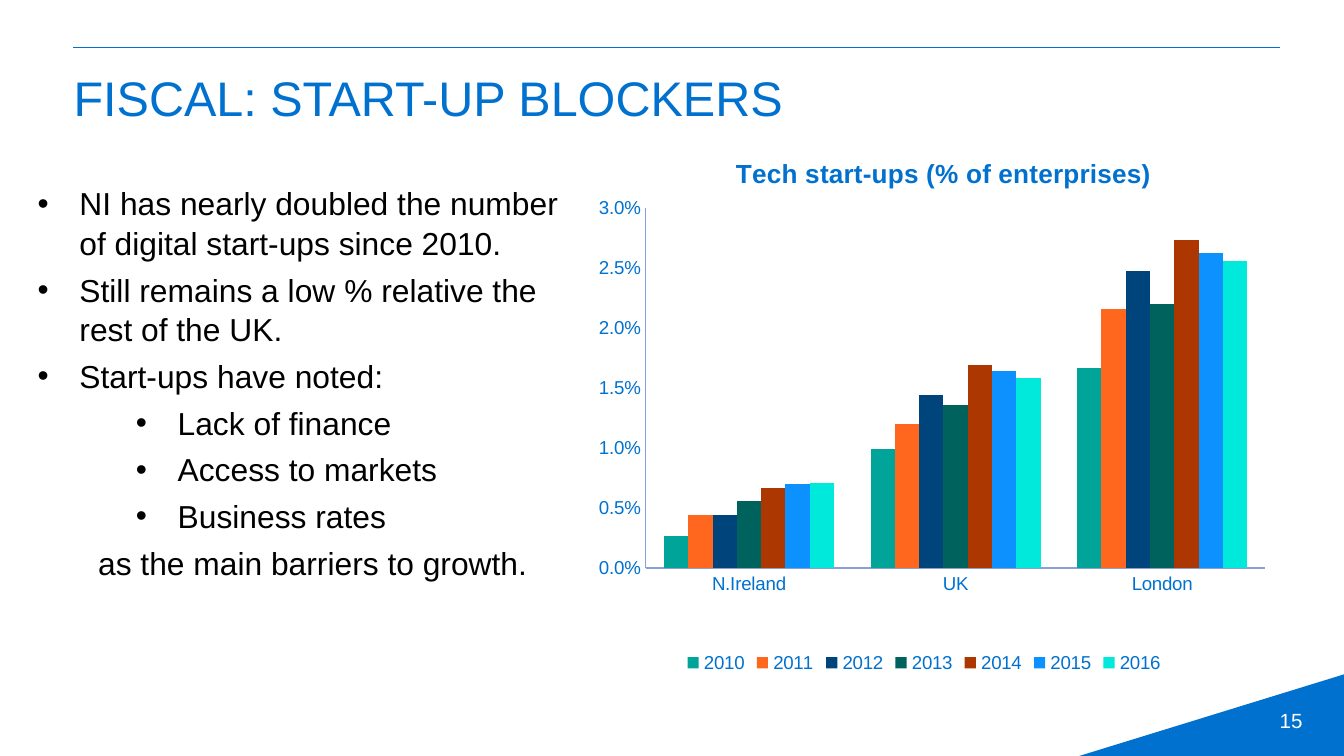
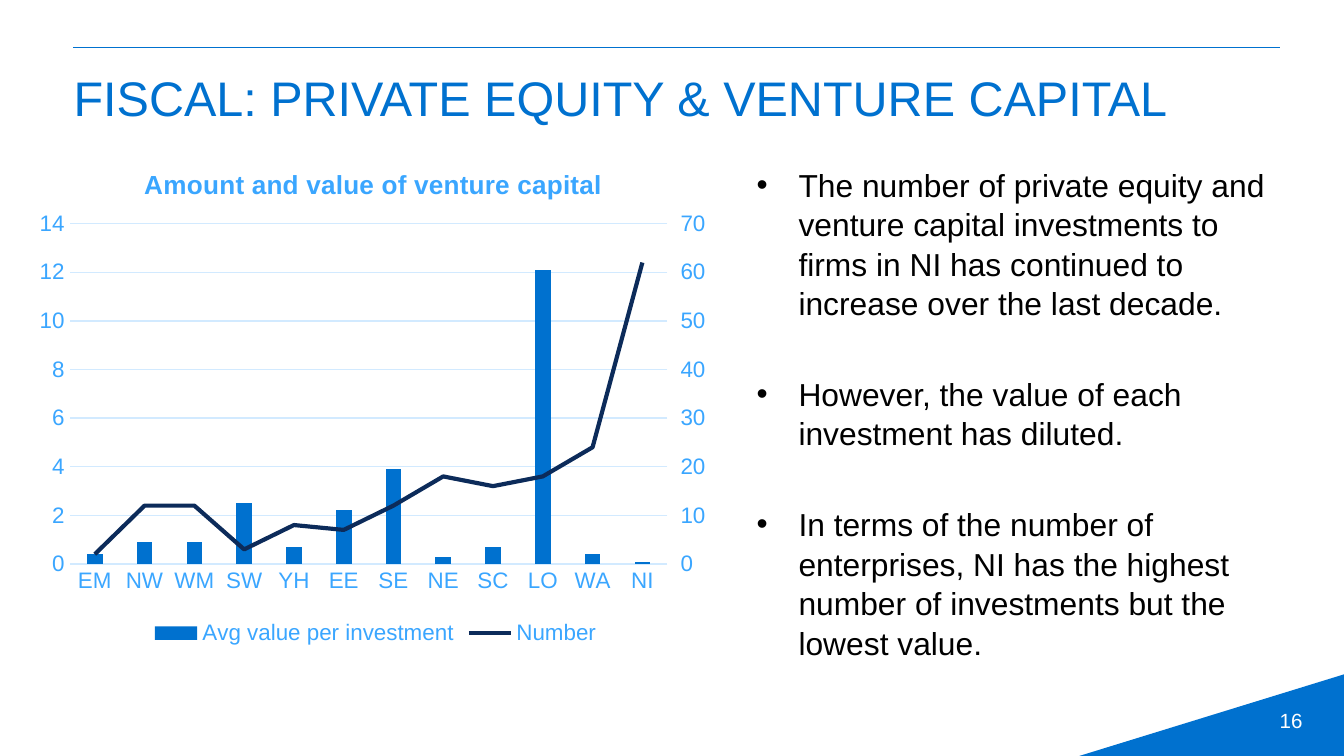
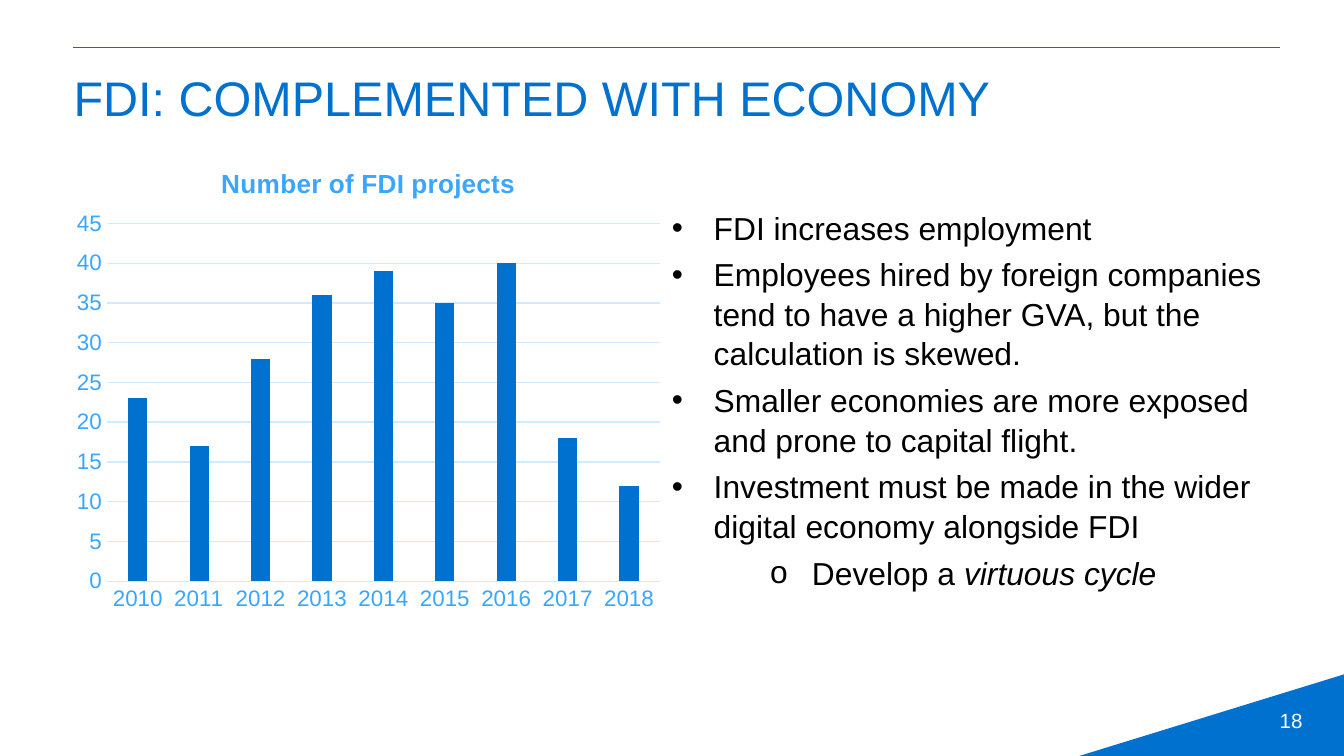
"""Build three slides on start-ups, venture capital and foreign direct investment."""

from copy import deepcopy

from lxml.etree import SubElement
from pptx import Presentation
from pptx.chart.data import CategoryChartData
from pptx.dml.color import RGBColor
from pptx.enum.chart import XL_CHART_TYPE as ChartType
from pptx.enum.chart import XL_LEGEND_POSITION as LegendPosition
from pptx.enum.chart import XL_TICK_MARK as TickMark
from pptx.enum.shapes import MSO_CONNECTOR as Connector
from pptx.enum.shapes import MSO_SHAPE as Shape
from pptx.enum.text import MSO_ANCHOR as Anchor
from pptx.enum.text import PP_ALIGN as Align
from pptx.oxml import parse_xml
from pptx.oxml.ns import nsdecls, qn
from pptx.util import Pt

BLUE = RGBColor(0x00, 0x71, 0xCF)
SKY = RGBColor(0x3A, 0xA6, 0xFF)
PALE = RGBColor(0xD2, 0xEA, 0xFF)
PERIWINKLE = RGBColor(0x87, 0xA0, 0xD9)
NAVY = RGBColor(0x0C, 0x2B, 0x5A)
TEAL = RGBColor(0x00, 0xA4, 0x99)
ORANGE = RGBColor(0xFF, 0x67, 0x1F)
DEEP_BLUE = RGBColor(0x00, 0x44, 0x7C)
PINE = RGBColor(0x00, 0x62, 0x5C)
RUST = RGBColor(0xAC, 0x37, 0x00)
AZURE = RGBColor(0x0D, 0x91, 0xFF)
AQUA = RGBColor(0x00, 0xE9, 0xDA)
WHITE = RGBColor(0xFF, 0xFF, 0xFF)
BLACK = RGBColor(0x00, 0x00, 0x00)
FONT = "Arial"

HANGING = 22.4
BULLET, SUB_BULLET, SUB_CIRCLE, PLAIN = "bullet", "sub bullet", "sub circle", "plain"
PARAGRAPH_STYLES = {
    BULLET: (HANGING, "•"),
    SUB_BULLET: (75, "•"),
    SUB_CIRCLE: (75, "o"),
    PLAIN: (32.4, None),
}
PARAGRAPH_GAP = 3.8
WIDE_GAP = 27.3

PALE_CHART = {
    "color": SKY, "size": 12, "axis_line": PALE, "grid": True,
    "format": "General", "gap": 219, "overlap": -27,
}

SLIDES = [
    {
        "number": "15",
        "title": "FISCAL: START-UP BLOCKERS",
        "text_box": (20.2, 97.9, 280, 247.7),
        "anchor": Anchor.TOP,
        "gap": PARAGRAPH_GAP,
        "text": [
            (BULLET, "NI has nearly doubled the number of digital start-ups since 2010."),
            (BULLET, "Still remains a low % relative the rest of the UK."),
            (BULLET, "Start-ups have noted:"),
            (SUB_BULLET, "Lack of finance"),
            (SUB_BULLET, "Access to markets"),
            (SUB_BULLET, "Business rates"),
            (PLAIN, "as the main barriers to growth."),
        ],
        "chart": {
            "box": (315.4, 69.1, 381.6, 301.7),
            "title": "Tech start-ups (% of enterprises)",
            "title_at": (0.2, 0.04),
            "plot_at": (0.08, 0.14, 0.87, 0.64),
            "legend": LegendPosition.TOP,
            "legend_at": (0.13, 0.92),
            "color": BLUE, "size": 10, "axis_line": PERIWINKLE, "grid": False,
            "format": "0.0%", "gap": 150, "overlap": 0,
            "scale": (0.03, 0.005),
            "categories": ["N.Ireland", "UK", "London"],
            "series": [
                ("2010", TEAL, [0.0027, 0.0099, 0.0167]),
                ("2011", ORANGE, [0.0044, 0.012, 0.0216]),
                ("2012", DEEP_BLUE, [0.0044, 0.0144, 0.0247]),
                ("2013", PINE, [0.0056, 0.0136, 0.022]),
                ("2014", RUST, [0.0067, 0.0169, 0.0273]),
                ("2015", AZURE, [0.007, 0.0164, 0.0262]),
                ("2016", AQUA, [0.0071, 0.0158, 0.0256]),
            ],
        },
    },
    {
        "number": "16",
        "title": "FISCAL: PRIVATE EQUITY & VENTURE CAPITAL",
        "text_box": (405.4, 87.8, 280, 272.2),
        "anchor": Anchor.TOP,
        "gap": WIDE_GAP,
        "text": [
            (BULLET, "The number of private equity and venture capital investments to firms "
                     "in NI has continued to increase over the last decade."),
            (BULLET, "However, the value of each investment has diluted."),
            (BULLET, "In terms of the number of enterprises, NI has the highest number of "
                     "investments but the lowest value."),
        ],
        "chart": PALE_CHART | {
            "box": (15.1, 76.3, 372.2, 272.2),
            "title": "Amount and value of venture capital",
            "title_at": (0.16, 0.04),
            "plot_at": (0.06, 0.16, 0.86, 0.67),
            "legend": LegendPosition.BOTTOM,
            "scale": (14, 2),
            "right_scale": (70, 10),
            "categories": ["EM", "NW", "WM", "SW", "YH", "EE",
                           "SE", "NE", "SC", "LO", "WA", "NI"],
            "series": [
                ("Avg value per investment", BLUE,
                 [0.4, 0.9, 0.9, 2.5, 0.7, 2.2, 3.9, 0.3, 0.7, 12.1, 0.4, 0.1]),
                ("Number", NAVY, [2, 12, 12, 3, 8, 7, 12, 18, 16, 18, 24, 62]),
            ],
        },
    },
    {
        "number": "18",
        "title": "FDI: COMPLEMENTED WITH ECONOMY",
        "text_box": (360, 87.8, 335.5, 255.6),
        "anchor": Anchor.MIDDLE,
        "gap": PARAGRAPH_GAP,
        "text": [
            (BULLET, "FDI increases employment"),
            (BULLET, "Employees hired by foreign companies tend to have a higher GVA, "
                     "but the calculation is skewed."),
            (BULLET, "Smaller economies are more exposed and prone to capital flight."),
            (BULLET, "Investment must be made in the wider digital economy alongside FDI"),
            (SUB_CIRCLE, "Develop a ", "virtuous cycle"),
        ],
        "chart": PALE_CHART | {
            "box": (34.6, 76.3, 325.4, 255.6),
            "title": "Number of FDI projects",
            "title_at": (0.25, 0.04),
            "plot_at": (0.07, 0.17, 0.91, 0.75),
            "scale": (45, 5),
            "categories": [str(year) for year in range(2010, 2019)],
            "series": [("Series 1", BLUE, [23, 17, 28, 36, 39, 35, 40, 18, 12])],
        },
    },
]


def points(values):
    return [Pt(value) for value in values]


def set_font(font, size, color, bold=None):
    font.name, font.size, font.bold = FONT, Pt(size), bold
    font.color.rgb = color


def add_text_box(slide, box, margins, anchor):
    frame = slide.shapes.add_textbox(*points(box)).text_frame
    frame.word_wrap = True
    frame.vertical_anchor = anchor
    (frame.margin_left, frame.margin_top,
     frame.margin_right, frame.margin_bottom) = points(margins)
    return frame


def add_frame(slide, title, number):
    rule = slide.shapes.add_connector(Connector.STRAIGHT, *points((39.4, 25.2, 685.6, 25.2)))
    rule.line.color.rgb, rule.line.width = BLUE, Pt(0.25)
    SubElement(rule._element.spPr, qn("a:effectLst"))

    corner = slide.shapes.add_shape(Shape.ISOSCELES_TRIANGLE, *points((578.2, 361.3, 141.8, 43.7)))
    corner.adjustments[0] = 1
    corner.shadow.inherit = False
    corner.fill.solid()
    corner.fill.fore_color.rgb = BLUE
    corner.line.fill.background()

    page = add_text_box(slide, (537.1, 375.1, 167.8, 21.6), (7.2, 3.6, 7.2, 3.6), Anchor.MIDDLE)
    paragraph = page.paragraphs[0]
    paragraph.text, paragraph.alignment = number, Align.RIGHT
    set_font(paragraph.font, 11, WHITE)

    heading = add_text_box(slide, (39.4, 33.8, 646.6, 41.8), (0, 2.7, 0, 0), Anchor.TOP)
    heading.paragraphs[0].text = title
    set_font(heading.paragraphs[0].font, 26, BLUE)


def add_points(slide, content):
    frame = add_text_box(slide, content["text_box"], (0, 0, 0, 3.6), content["anchor"])
    for index, (style, text, *emphasis) in enumerate(content["text"]):
        paragraph = frame.add_paragraph() if index else frame.paragraphs[0]
        paragraph.add_run().text = text
        for words in emphasis:
            run = paragraph.add_run()
            run.text, run.font.italic = words, True
        paragraph.line_spacing = 1.04
        paragraph.space_before = Pt(content["gap"] if index else PARAGRAPH_GAP)
        indent, bullet = PARAGRAPH_STYLES[style]
        properties = paragraph._p.get_or_add_pPr()
        properties.set("marL", str(Pt(indent)))
        if bullet:
            properties.set("indent", str(-Pt(HANGING)))
            SubElement(properties, qn("a:buFont"), typeface=FONT)
            SubElement(properties, qn("a:buChar"), char=bullet)
        set_font(paragraph.font, 17, BLACK)


def place(element, index, position):
    for layout in element.findall(qn("c:layout")):
        element.remove(layout)
    layout = parse_xml(f"<c:layout {nsdecls('c')}/>")
    manual = SubElement(layout, qn("c:manualLayout"))
    if len(position) == 4:
        SubElement(manual, qn("c:layoutTarget"), val="inner")
    for name in ("xMode", "yMode"):
        SubElement(manual, qn(f"c:{name}"), val="edge")
    for name, value in zip("xywh", position):
        SubElement(manual, qn(f"c:{name}"), val=str(value))
    element.insert(index, layout)


def move_to_right_axis(chart, scale):
    """Turn the last column series into a line with its own axis."""
    plot_area = chart._chartSpace.chart.plotArea
    columns = plot_area.find(qn("c:barChart"))
    series = columns.findall(qn("c:ser"))[-1]
    series.remove(series.find(qn("c:invertIfNegative")))
    marker = parse_xml(f'<c:marker {nsdecls("c")}><c:symbol val="none"/></c:marker>')
    series.find(qn("c:spPr")).addnext(marker)
    SubElement(series, qn("c:smooth"), val="0")

    lines = parse_xml(f'<c:lineChart {nsdecls("c")}><c:grouping val="standard"/>'
                      '<c:varyColors val="0"/></c:lineChart>')
    lines.append(series)
    SubElement(lines, qn("c:marker"), val="1")
    columns.addnext(lines)

    category_id, value_id = "50010", "50020"
    category_axis = deepcopy(plot_area.find(qn("c:catAx")))
    value_axis = deepcopy(plot_area.find(qn("c:valAx")))
    for axis, own, other in ((category_axis, category_id, value_id),
                             (value_axis, value_id, category_id)):
        SubElement(lines, qn("c:axId"), val=own)
        axis.find(qn("c:axId")).set("val", own)
        axis.find(qn("c:crossAx")).set("val", other)
    category_axis.find(qn("c:delete")).set("val", "1")
    value_axis.remove(value_axis.find(qn("c:majorGridlines")))
    maximum, step = scale
    for tag, value in (("c:axPos", "r"), ("c:crosses", "max"), ("c:majorTickMark", "out"),
                       ("c:scaling/c:max", str(maximum)), ("c:majorUnit", str(step))):
        value_axis.find("/".join(qn(part) for part in tag.split("/"))).set("val", value)
    columns.getparent().findall(qn("c:valAx"))[-1].addnext(value_axis)
    value_axis.addnext(category_axis)


def add_column_chart(slide, content):
    data = CategoryChartData(number_format=content["format"])
    data.categories = content["categories"]
    for name, _, values in content["series"]:
        data.add_series(name, values)
    chart = slide.shapes.add_chart(ChartType.COLUMN_CLUSTERED, *points(content["box"]), data).chart
    color, size = content["color"], content["size"]
    set_font(chart.font, 10, BLUE)

    chart.has_title = True
    title = chart.chart_title
    title.include_in_layout = False
    paragraph = title.text_frame.paragraphs[0]
    paragraph.text = content["title"]
    set_font(paragraph.font, 14, color, True)
    place(title._element, 1, content["title_at"])

    chart.has_legend = "legend" in content
    if chart.has_legend:
        chart.legend.position = content["legend"]
        chart.legend.include_in_layout = False
        set_font(chart.legend.font, size, color)
        if "legend_at" in content:
            place(chart.legend._element, 1, content["legend_at"])

    for axis in (chart.category_axis, chart.value_axis):
        axis.major_tick_mark = axis.minor_tick_mark = TickMark.NONE
        set_font(axis.tick_labels.font, size, color)
        axis.format.line.color.rgb = content["axis_line"]
        axis.format.line.width = Pt(0.75)
    value_axis = chart.value_axis
    value_axis.minimum_scale = 0
    value_axis.maximum_scale, value_axis.major_unit = content["scale"]
    value_axis.tick_labels.number_format = content["format"]
    value_axis.tick_labels.number_format_is_linked = False
    value_axis.has_major_gridlines = content["grid"]
    if content["grid"]:
        value_axis.format.line.fill.background()
        grid_line = value_axis.major_gridlines.format.line
        grid_line.color.rgb, grid_line.width = PALE, Pt(0.75)

    plot = chart.plots[0]
    plot.gap_width, plot.overlap = content["gap"], content["overlap"]
    plot.vary_by_categories = False
    for series, (_, series_color, _) in zip(plot.series, content["series"]):
        series.invert_if_negative = False
        series.format.fill.solid()
        series.format.fill.fore_color.rgb = series_color
    if "right_scale" in content:
        line = plot.series[-1].format.line
        line.color.rgb, line.width = series_color, Pt(2.25)
        move_to_right_axis(chart, content["right_scale"])
    place(chart._chartSpace.chart.plotArea, 0, content["plot_at"])


def main():
    presentation = Presentation()
    presentation.slide_width, presentation.slide_height = Pt(720), Pt(405)
    for content in SLIDES:
        slide = presentation.slides.add_slide(presentation.slide_layouts[6])
        add_frame(slide, content["title"], content["number"])
        add_points(slide, content)
        add_column_chart(slide, content["chart"])
    presentation.save("out.pptx")


if __name__ == "__main__":
    main()
